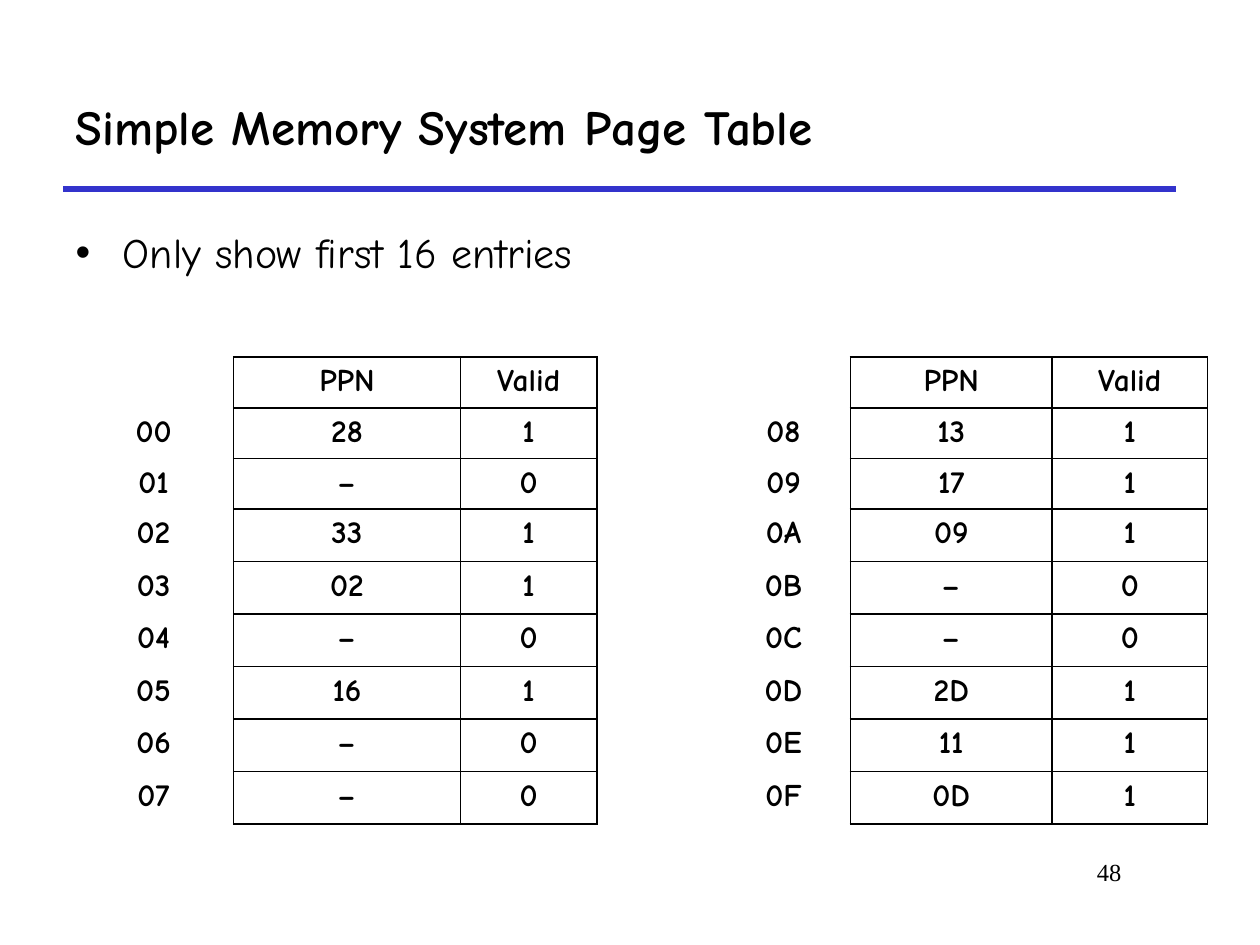
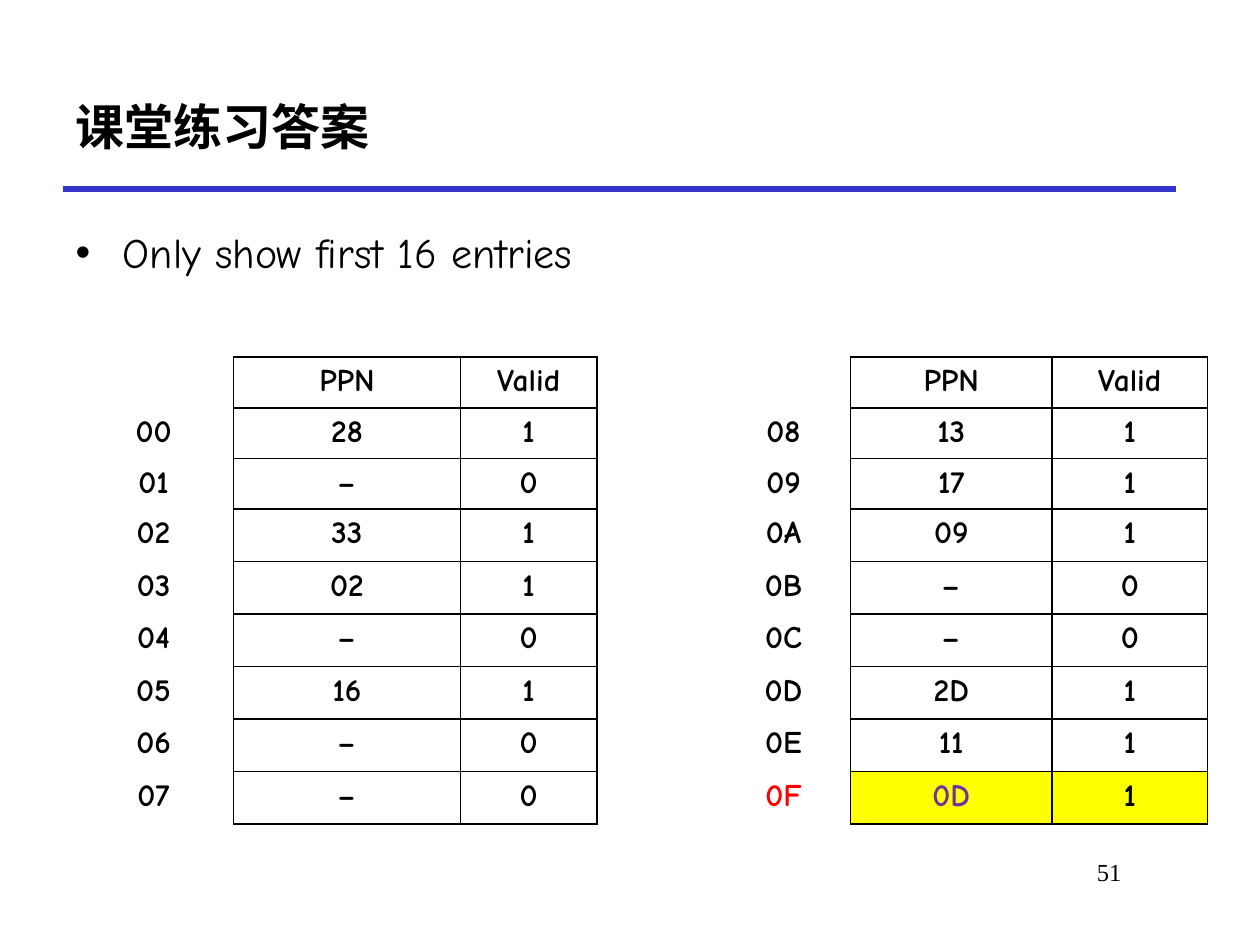
"""Build two slides showing a simple page table, the second with an entry marked."""
import lxml.etree
import pptx
import pptx.dml.color
import pptx.enum.shapes
import pptx.enum.text
import pptx.oxml.ns
import pptx.util

qualified = pptx.oxml.ns.qn
PP_ALIGN = pptx.enum.text.PP_ALIGN
UNIT = pptx.util.Inches(1 / 12)
BLACK, BLUE, RED, PURPLE, YELLOW = "000000", "3333CC", "FF0000", "7030A0", "FFFF00"

TITLE_FORMAT = {"name": "Comic Neue", "size": pptx.util.Pt(28), "bold": True}
BODY_FORMAT = {"name": "Comic Neue", "size": pptx.util.Pt(24), "bold": False}
CELL_FORMAT = {"name": "Comic Neue", "size": pptx.util.Pt(18), "bold": True}
NUMBER_FORMAT = {"name": "Times New Roman", "size": pptx.util.Pt(14), "bold": False}

HEADER = ["", "PPN", "Valid"]
ROW_HEIGHTS = [4.8] * 3 + [5] * 6
TABLES = [
    {"left": 7, "columns": [15.25, 21.6, 13], "first": 0,
     "pages": ["28", "–", "33", "02", "–", "16", "–", "–"]},
    {"left": 68.25, "columns": [12.75, 19.2, 14.8], "first": 8,
     "pages": ["13", "17", "09", "–", "–", "2D", "11", "0D"]},
]
SLIDES = [
    {"title": "Simple Memory System Page Table", "number": "48", "marked": None},
    {"title": "课堂练习答案", "number": "51", "marked": "0F"},
]


def rgb(color):
    return pptx.dml.color.RGBColor.from_string(color)


def write(paragraph, text, text_format, color=BLACK, alignment=PP_ALIGN.LEFT):
    paragraph.alignment = alignment
    paragraph.space_before = paragraph.space_after = pptx.util.Pt(0)
    run = paragraph.add_run()
    run.text = text
    run.font.color.rgb = rgb(color)
    for name, value in text_format.items():
        setattr(run.font, name, value)


presentation = pptx.Presentation()
presentation.slide_width = 120 * UNIT
presentation.slide_height = 90 * UNIT

for content in SLIDES:
    slide = presentation.slides.add_slide(presentation.slide_layouts[1])
    title, body = slide.placeholders
    number = slide.shapes.add_textbox(0, 0, UNIT, UNIT)
    for shape, place, anchor in [
        (title, (6, 6, 106, 12), pptx.enum.text.MSO_ANCHOR.MIDDLE),
        (body, (6, 21, 99, 7), pptx.enum.text.MSO_ANCHOR.TOP),
        (number, (91, 81, 17, 6), pptx.enum.text.MSO_ANCHOR.TOP),
    ]:
        for name, length in zip(("left", "top", "width", "height"), place):
            setattr(shape, name, length * UNIT)
        shape.text_frame.word_wrap = True
        shape.text_frame.auto_size = pptx.enum.text.MSO_AUTO_SIZE.NONE
        shape.text_frame.vertical_anchor = anchor

    write(title.text_frame.paragraphs[0], content["title"], TITLE_FORMAT)
    write(number.text_frame.paragraphs[0], content["number"], NUMBER_FORMAT,
          alignment=PP_ALIGN.RIGHT)
    bullet_paragraph = body.text_frame.paragraphs[0]
    write(bullet_paragraph, "Only show first 16 entries", BODY_FORMAT)
    properties = bullet_paragraph._p.get_or_add_pPr()
    properties.set("marL", str(int(4.5 * UNIT)))
    properties.set("indent", str(int(-4.5 * UNIT)))
    lxml.etree.SubElement(properties, qualified("a:buChar"), char="•")

    rule = slide.shapes.add_connector(
        pptx.enum.shapes.MSO_CONNECTOR.STRAIGHT, 6 * UNIT, 18 * UNIT, 112 * UNIT, 18 * UNIT)
    rule.line.color.rgb = rgb(BLUE)
    rule.line.width = pptx.util.Pt(3)
    lxml.etree.SubElement(rule._element.spPr, qualified("a:effectLst"))

    for page_table in TABLES:
        entries = [HEADER] + [
            [f"{index:02X}", page, "0" if page == "–" else "1"]
            for index, page in enumerate(page_table["pages"], page_table["first"])]
        table = slide.shapes.add_table(
            len(entries), len(HEADER), int(page_table["left"] * UNIT), 34 * UNIT,
            int(sum(page_table["columns"]) * UNIT), int(sum(ROW_HEIGHTS) * UNIT)).table
        table.first_row = table.horz_banding = False
        for column, width in zip(table.columns, page_table["columns"]):
            column.width = int(width * UNIT)
        for row, height in zip(table.rows, ROW_HEIGHTS):
            row.height = int(height * UNIT)

        for row, entry in zip(table.rows, entries):
            marked = entry[0] == content["marked"]
            colors = [RED, PURPLE, BLACK] if marked else [BLACK] * 3
            for position, (cell, text) in enumerate(zip(row.cells, entry)):
                cell_properties = cell._tc.get_or_add_tcPr()
                for side in "LRTB":
                    border = lxml.etree.SubElement(
                        cell_properties, qualified(f"a:ln{side}"), w=str(pptx.util.Pt(1)))
                    if position or side == "R":
                        fill = lxml.etree.SubElement(border, qualified("a:solidFill"))
                        lxml.etree.SubElement(fill, qualified("a:srgbClr"), val=BLACK)
                    else:
                        lxml.etree.SubElement(border, qualified("a:noFill"))
                if marked and position:
                    cell.fill.solid()
                    cell.fill.fore_color.rgb = rgb(YELLOW)
                else:
                    cell.fill.background()
                if text:
                    write(cell.text_frame.paragraphs[0], text, CELL_FORMAT,
                          colors[position], PP_ALIGN.CENTER)

presentation.save("out.pptx")
